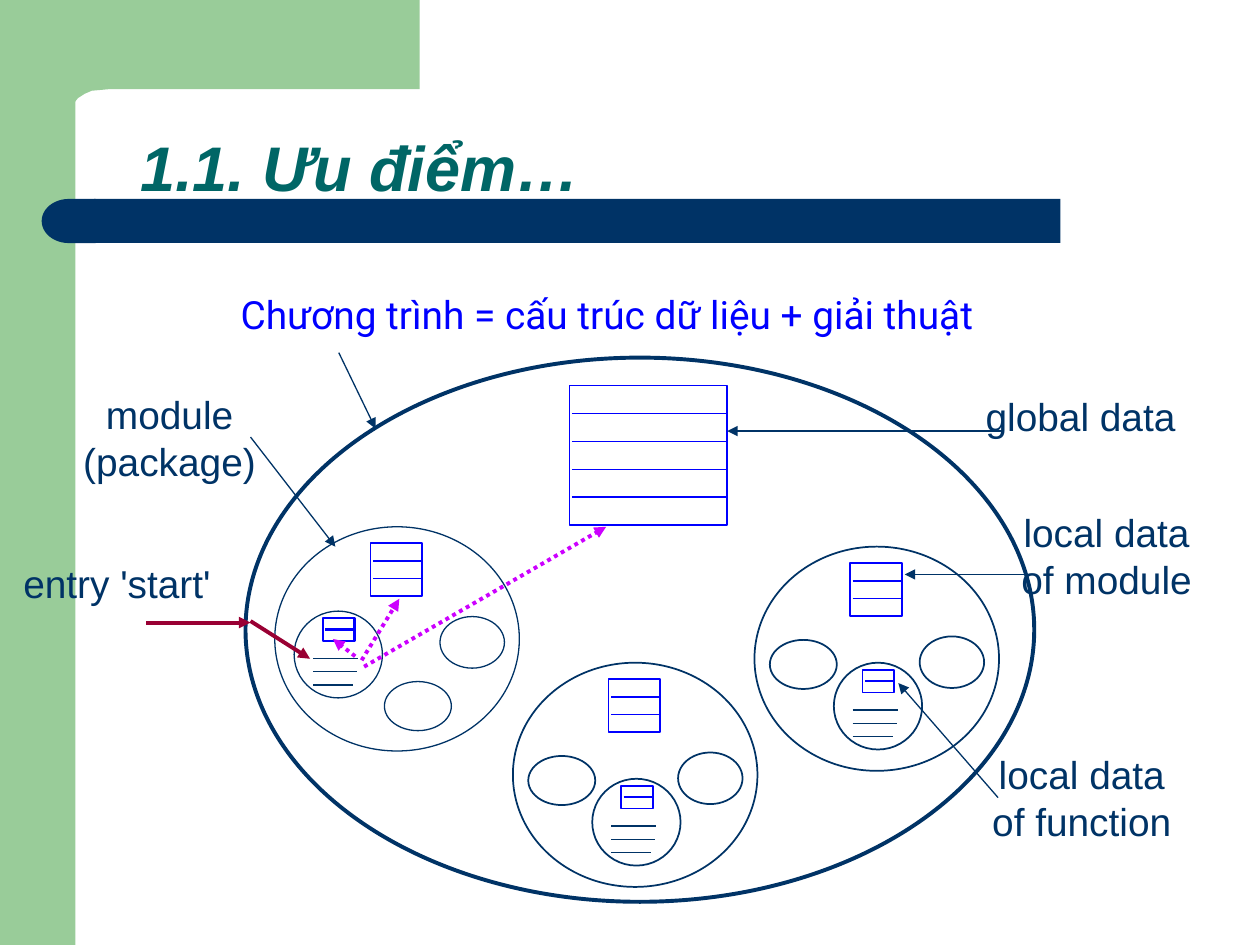
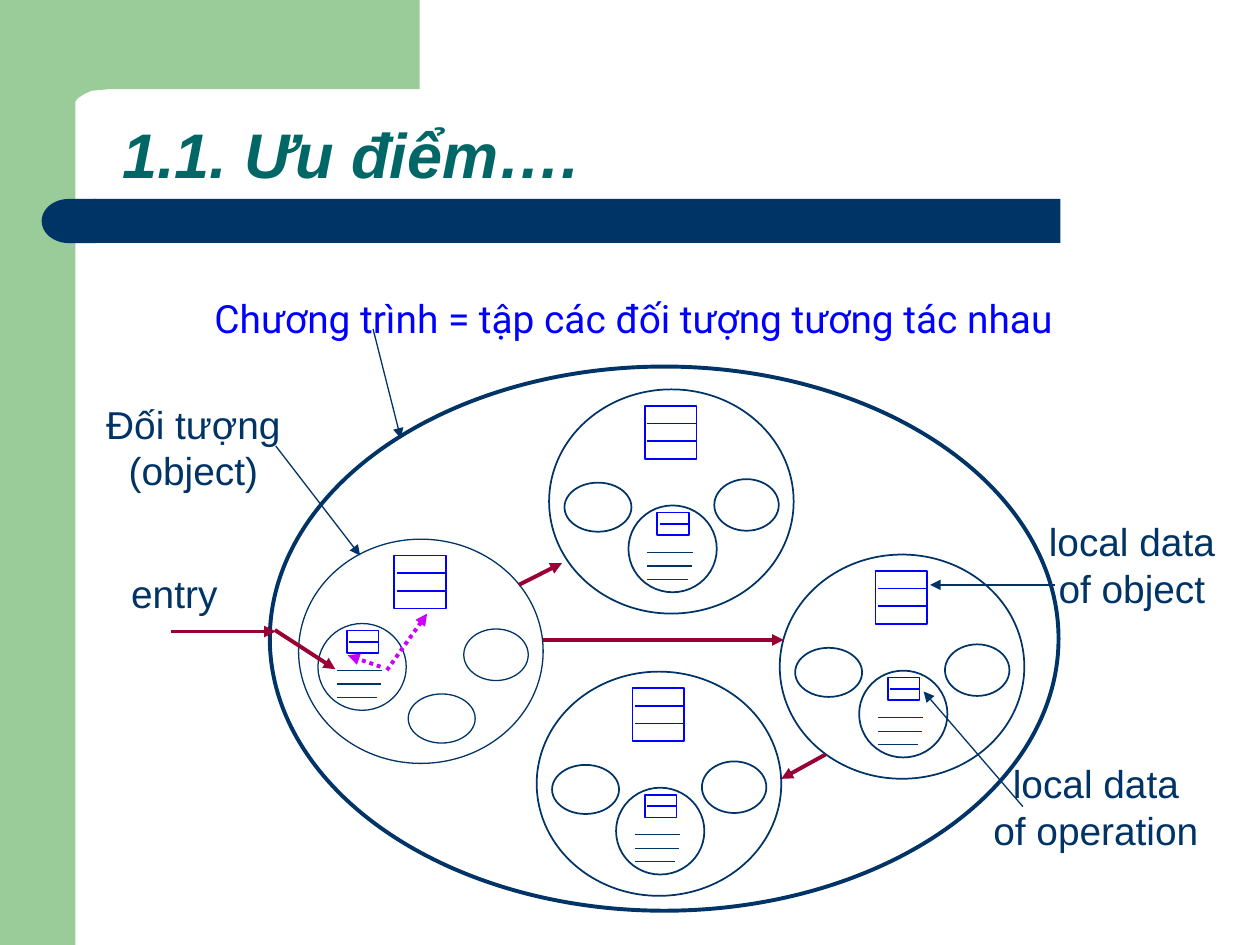
from lxml.etree import SubElement
from pptx import Presentation
from pptx.dml.color import RGBColor
from pptx.enum.dml import MSO_LINE
from pptx.enum.shapes import MSO_CONNECTOR, MSO_SHAPE as Preset
from pptx.enum.text import MSO_ANCHOR, MSO_AUTO_SIZE, PP_ALIGN
from pptx.oxml.ns import qn
from pptx.util import Cm, Pt

COLORS = {
    "leaf": "99CC99",
    "navy": "003366",
    "teal": "006666",
    "data": "0000FF",
    "flow": "990033",
    "access": "CC00FF",
}
CORNER = [(0.43, 0), (8.46, 0), (8.46, 1.8), (2.18, 1.8), (1.85, 1.83), (1.71, 1.89),
          (1.57, 1.98), (1.37, 2.24), (1.32, 2.49), (1.32, 2.74), (0.43, 2.74)]


def color(name):
    return RGBColor.from_string(COLORS[name])


def fill_plain(shape, name):
    shape.shadow.inherit = False
    shape.fill.solid()
    shape.fill.fore_color.rgb = color(name)
    shape.line.fill.background()


def add_band(shapes, preset, x, y, w, h, name):
    band = shapes.add_shape(preset, Cm(x), Cm(y), Cm(w), Cm(h))
    fill_plain(band, name)
    return band


def add_frame(layout, slide):
    shapes = slide.shapes
    side = add_band(shapes, Preset.RECTANGLE, 0, 0, 1.52, 19.05, "leaf")
    outline = shapes.build_freeform(*map(Cm, CORNER[0]))
    outline.add_line_segments([(Cm(x), Cm(y)) for x, y in CORNER[1:]], close=True)
    corner = outline.convert_to_shape()
    fill_plain(corner, "leaf")
    bar = add_band(shapes, Preset.RECTANGLE, 1.9, 4.01, 19.48, 0.89, "navy")
    bar_end = add_band(shapes, Preset.FLOWCHART_DELAY, 0.84, 4.01, 1.09, 0.89, "navy")
    bar_end.rotation = 180
    for position, part in enumerate((side, corner, bar, bar_end), start=2):
        layout.shapes.element.insert(position, part.element)


def set_title(slide, text, x, y, w):
    title = slide.shapes.title
    title.left, title.top, title.width, title.height = Cm(x), Cm(y), Cm(w), Cm(2.03)
    frame = title.text_frame
    frame.text = text
    frame.auto_size = MSO_AUTO_SIZE.NONE
    frame.vertical_anchor = MSO_ANCHOR.TOP
    frame.margin_top = Cm(0.36)
    paragraph = frame.paragraphs[0]
    paragraph.alignment = PP_ALIGN.LEFT
    font = paragraph.font
    font.name, font.size, font.bold, font.italic = "Arial", Pt(36), True, True
    font.color.rgb = color("teal")


def add_label(slide, text, x, y, w, h, face="Arial", name="navy", spacing=None):
    frame = slide.shapes.add_textbox(Cm(x), Cm(y), Cm(w), Cm(h)).text_frame
    frame.word_wrap = True
    frame.text = text
    paragraph = frame.paragraphs[0]
    paragraph.alignment = PP_ALIGN.CENTER
    paragraph.line_spacing = spacing
    paragraph.font.name, paragraph.font.size = face, Pt(22.2)
    paragraph.font.color.rgb = color(name)


def add_outline(shapes, preset, x, y, w, h, name="navy", weight=1):
    shape = shapes.add_shape(preset, Cm(x), Cm(y), Cm(w), Cm(h))
    shape.shadow.inherit = False
    shape.fill.background()
    shape.line.color.rgb = color(name)
    shape.line.width = Pt(weight)


def add_line(shapes, start, end, name="navy", weight=0.75, arrow=False, dotted=False):
    line = shapes.add_connector(MSO_CONNECTOR.STRAIGHT, *map(Cm, (*start, *end)))
    line.line.color.rgb = color(name)
    line.line.width = Pt(weight)
    if dotted:
        line.line.dash_style = MSO_LINE.ROUND_DOT
    properties = line.element.spPr
    if arrow:
        SubElement(properties.find(qn("a:ln")), qn("a:tailEnd"), type="triangle")
    SubElement(properties, qn("a:effectLst"))


def add_callouts(slide, routes):
    for start, end in routes:
        add_line(slide.shapes, start, end, arrow=True)


def add_flows(slide, routes):
    for start, end in routes:
        add_line(slide.shapes, start, end, "flow", 2.25, arrow=True)


def add_accesses(slide, routes):
    for start, end in routes:
        add_line(slide.shapes, start, end, "access", 2.25, arrow=True, dotted=True)


def add_data(shapes, x, y, w, h, rows, weight=1):
    add_outline(shapes, Preset.RECTANGLE, x, y, w, h, "data", weight)
    for row in range(1, rows):
        level = y + h * row / rows
        add_line(shapes, (x + 0.05, level), (x + w, level), "data", weight)


def add_function(shapes, x, y, weight, data_weight):
    add_outline(shapes, Preset.OVAL, x, y, 1.78, 1.75, weight=weight)
    add_data(shapes, x + 0.58, y + 0.14, 0.64, 0.46, 2, data_weight)
    for row, length in enumerate((0.91, 0.89, 0.81)):
        level = y + 0.95 + 0.27 * row
        add_line(shapes, (x + 0.38, level), (x + 0.38 + length, level))


def add_module(slide, x, y, is_entry=False, data_weight=1):
    shapes = slide.shapes.add_group_shape().shapes
    weight = 0.75 if is_entry else 1
    function_x, function_y = (0.39, 1.7) if is_entry else (1.6, 2.34)
    closed_x, closed_y = (2.21, 3.12) if is_entry else (0.31, 1.88)
    add_outline(shapes, Preset.OVAL, x, y, 4.93, 4.52, weight=weight)
    add_outline(shapes, Preset.OVAL, x + 3.33, y + 1.81, 1.3, 1.04, weight=weight)
    add_outline(shapes, Preset.OVAL, x + closed_x, y + closed_y, 1.35, 0.99, weight=weight)
    add_data(shapes, x + 1.93, y + 0.33, 1.04, 1.07, 3)
    add_function(shapes, x + function_x, y + function_y, weight, data_weight)


def add_program(slide, x, y):
    add_outline(slide.shapes, Preset.OVAL, x, y, 15.9, 10.97, weight=2.25)


def build_procedural(slide):
    set_title(slide, "1.1. Ưu điểm…", 2.57, 2.24, 22)
    add_label(slide, "Chương trình = cấu trúc dữ liệu + giải thuật",
              0.91, 5.74, 22.66, 1.19, "Roboto", "data")
    add_label(slide, "entry 'start'", 0, 11.15, 4.72, 1.19)
    add_label(slide, "global data", 19.41, 7.8, 4.75, 1.19)
    add_label(slide, "module (package)", 1.3, 7.75, 4.24, 2.16)
    add_label(slide, "local data of module", 20.19, 10.13, 4.24, 2.16)
    add_label(slide, "local data of function", 19.69, 15.01, 4.24, 2.16)
    add_program(slide, 4.95, 7.21)
    add_data(slide.shapes, 11.48, 7.77, 3.18, 2.82, 5)
    add_module(slide, 15.21, 11.02)
    add_module(slide, 10.34, 13.36)
    add_module(slide, 5.54, 10.62, is_entry=True, data_weight=1.5)
    add_flows(slide, [((2.95, 12.55), (5.05, 12.55)), ((5.05, 12.52), (6.25, 13.28))])
    add_accesses(slide, [
        ((7.34, 13.44), (12.22, 10.62)),
        ((7.29, 13.31), (8.05, 12.07)),
        ((7.16, 13.23), (6.71, 12.88)),
    ])
    add_callouts(slide, [
        ((20.22, 8.69), (14.66, 8.69)),
        ((20.75, 11.58), (18.24, 11.58)),
        ((20.12, 16.08), (18.11, 13.77)),
        ((5.05, 8.81), (6.76, 11.02)),
        ((6.83, 7.11), (7.57, 8.64)),
    ])


def build_object_oriented(slide):
    set_title(slide, "1.1. Ưu điểm….", 2.21, 1.96, 23.06)
    add_label(slide, "Chương trình = tập các đối tượng tương tác nhau",
              1.45, 5.16, 22.66, 1.85, "Roboto", "data", 1.7)
    add_label(slide, "entry", 1.8, 11.35, 3.43, 1.19)
    add_label(slide, "Đối tượng (object)", 1.78, 7.95, 4.24, 2.16)
    add_label(slide, "local data of object", 20.7, 10.31, 4.24, 2.16)
    add_label(slide, "local data of operation", 19.76, 15.19, 4.67, 2.16)
    add_program(slide, 5.44, 7.39)
    add_module(slide, 6.02, 10.87, is_entry=True)
    for x, y in ((11.07, 7.85), (10.82, 13.54), (15.72, 11.18)):
        add_module(slide, x, y)
    add_flows(slide, [
        ((3.45, 12.73), (5.56, 12.73)),
        ((5.54, 12.7), (6.76, 13.49)),
        ((10.46, 11.79), (11.33, 11.35)),
        ((10.95, 12.9), (15.8, 12.9)),
        ((16.64, 15.21), (15.75, 15.7)),
    ])
    add_accesses(slide, [((7.8, 13.51), (8.61, 12.37)), ((7.67, 13.44), (7.01, 13.21))])
    add_callouts(slide, [
        ((21.26, 11.79), (18.75, 11.79)),
        ((20.62, 16.26), (18.62, 13.94)),
        ((5.56, 8.99), (7.26, 11.2)),
        ((7.52, 6.63), (8.08, 8.84)),
    ])


def main():
    deck = Presentation()
    deck.slide_width, deck.slide_height = Cm(25.4), Cm(19.05)
    layout = deck.slide_layouts[5]
    procedural = deck.slides.add_slide(layout)
    object_oriented = deck.slides.add_slide(layout)
    add_frame(layout, procedural)
    build_procedural(procedural)
    build_object_oriented(object_oriented)
    deck.save("out.pptx")


if __name__ == "__main__":
    main()
